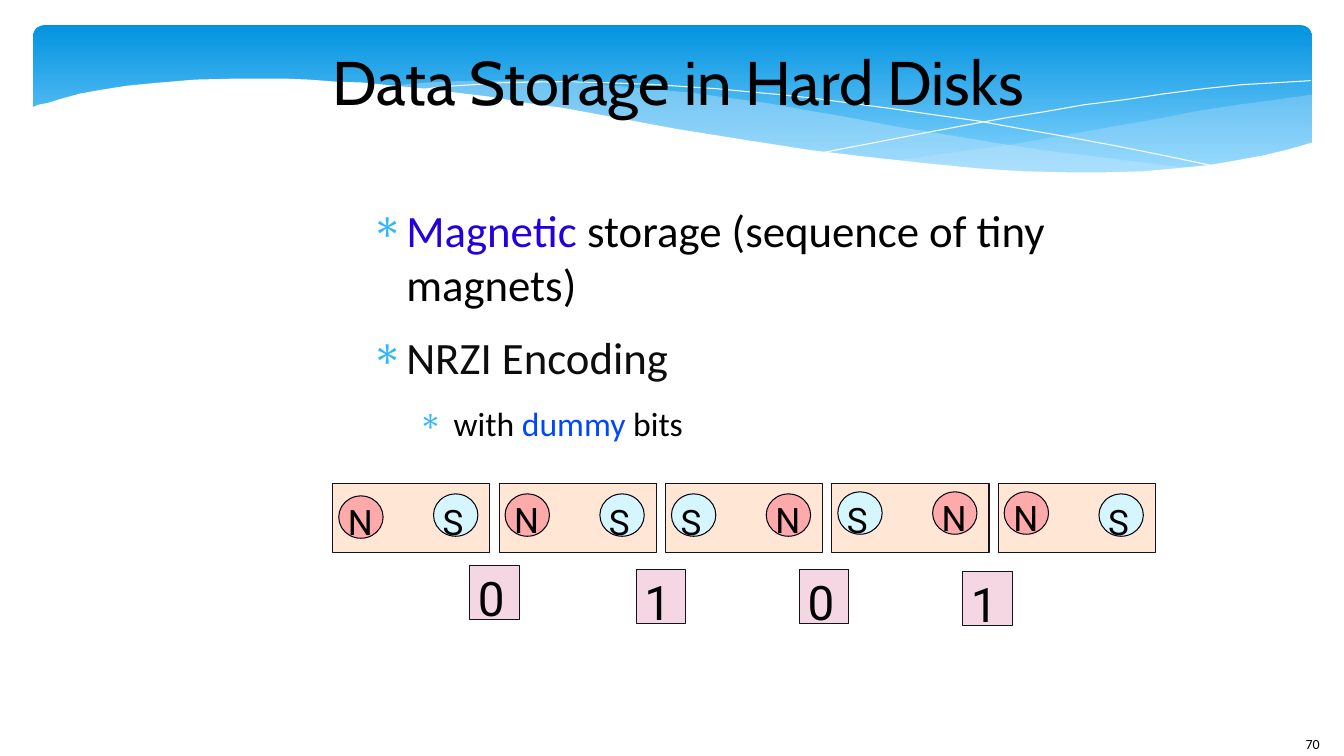
from lxml import etree
from pptx import Presentation
from pptx.dml.color import RGBColor
from pptx.enum.shapes import MSO_SHAPE
from pptx.enum.text import MSO_ANCHOR, MSO_AUTO_SIZE, PP_ALIGN
from pptx.oxml.ns import qn
from pptx.util import Inches, Pt

RECTANGLE, ELLIPSE = MSO_SHAPE.RECTANGLE, MSO_SHAPE.OVAL
ROUNDED = MSO_SHAPE.ROUNDED_RECTANGLE
MIDDLE, CENTER = MSO_ANCHOR.MIDDLE, PP_ALIGN.CENTER
GROW, FIXED = MSO_AUTO_SIZE.SHAPE_TO_FIT_TEXT, MSO_AUTO_SIZE.NONE
BLACK, WHITE, HAZE = "000000", "FFFFFF", "C6E7FC"

RIGHT_HAZE = [
    (13, 0.94), (12.65, 0.99), (12.27, 1.04), (11.88, 1.1), (11.47, 1.18),
    (10.73, 1.31), (10.05, 1.43), (9.41, 1.52), (8.82, 1.6), (9.21, 1.64),
    (9.58, 1.67), (9.93, 1.69), (10.25, 1.71), (10.56, 1.72), (10.99, 1.72),
    (11.38, 1.7), (11.74, 1.67), (12.07, 1.63), (12.38, 1.58), (12.66, 1.52),
    (12.84, 1.47), (13.01, 1.42), (13.01, 0.94)]
LEFT_HAZE = [
    (11.9, 1.67), (11.54, 1.64), (11.16, 1.59), (10.76, 1.54), (10.34, 1.49),
    (9.89, 1.42), (9.41, 1.34), (8.91, 1.26), (8.39, 1.16), (7.98, 1.09),
    (7.59, 1.02), (7.21, 0.97), (6.86, 0.92), (6.52, 0.89), (6.19, 0.86),
    (5.89, 0.83), (5.6, 0.82), (5.32, 0.8), (4.82, 0.8), (4.37, 0.81),
    (3.99, 0.84), (3.82, 0.86), (4.31, 0.9), (4.83, 0.97), (5.39, 1.06),
    (5.99, 1.16), (6.54, 1.26), (7.06, 1.35), (7.55, 1.43), (8.02, 1.5),
    (8.46, 1.56), (8.87, 1.61), (9.26, 1.65), (9.63, 1.68), (9.98, 1.7),
    (10.3, 1.72), (10.61, 1.73), (11.04, 1.73), (11.43, 1.71), (11.67, 1.69)]
FALLING_LINE = [
    (4.12, 0.9), (4.38, 0.86), (4.7, 0.84), (4.99, 0.82), (5.55, 0.81),
    (6, 0.82), (6.52, 0.84), (6.8, 0.86), (7.1, 0.88), (7.42, 0.91),
    (7.75, 0.94), (8.11, 0.98), (8.48, 1.03), (8.86, 1.08), (9.27, 1.14),
    (9.7, 1.2), (10.14, 1.28), (10.6, 1.36), (11.08, 1.45), (11.58, 1.55),
    (12.1, 1.66)]
RISING_LINE = [
    (8.18, 1.51), (8.7, 1.41), (9.27, 1.3), (9.97, 1.17), (10.35, 1.11),
    (10.75, 1.04), (11.15, 0.99), (11.55, 0.93), (11.94, 0.88), (12.32, 0.84),
    (12.67, 0.82), (13, 0.8)]
WHITE_WAVE = [
    (13.03, 1.41), (12.79, 1.48), (12.54, 1.54), (12.27, 1.59), (11.98, 1.64),
    (11.67, 1.67), (11.34, 1.7), (10.97, 1.71), (10.58, 1.71), (10.15, 1.7),
    (9.69, 1.67), (9.18, 1.62), (8.63, 1.56), (8.04, 1.49), (7.4, 1.39),
    (6.71, 1.28), (5.96, 1.14), (5.58, 1.07), (5.21, 1.02), (4.86, 0.96),
    (4.53, 0.92), (4.21, 0.88), (3.9, 0.85), (3.61, 0.82), (3.33, 0.81),
    (3.06, 0.79), (2.82, 0.78), (2.35, 0.78), (1.94, 0.79), (1.58, 0.82),
    (1.27, 0.85), (1.01, 0.89), (0.79, 0.93), (0.61, 0.98), (0.48, 1.02),
    (0.38, 1.04), (0.31, 1.07), (0.31, 2.24), (13.03, 2.24)]

BULLETS = [  # level, size, space after, spans of text and colour
    (0, 32, 14.1, [("Magnetic", "2300DC"),
                   (" storage (sequence of tiny magnets)", BLACK)]),
    (0, 32, 14.1, [("NRZI Encoding", "0D0D0D")]),
    (1, 24, 11.3, [("with ", BLACK), ("dummy", "0047FF"), (" bits", BLACK)]),
]
POLES = {"N": ("FFAAAA", 0.23, 0.05), "S": ("D5F6FF", 0.16, 0.07)}  # fill, letter width, drop
MAGNETS = [  # left and right pole, each with its top
    (("N", 4.92), ("S", 4.9)), (("N", 4.9), ("S", 4.9)),
    (("S", 4.9), ("N", 4.9)), (("S", 4.88), ("N", 4.88)),
    (("N", 4.88), ("S", 4.9))]
BITS = [("0", 4.66, 5.61), ("1", 6.31, 5.65), ("0", 7.93, 5.65), ("1", 9.55, 5.67)]


def rgb(value):
    return RGBColor.from_string(value)


class Slide:
    """Draws styled elements on one page."""

    text_font, title_font, diagram_font = "Calibri", "Cabin", "Roboto"

    def __init__(self, deck):
        self.page = deck.slides.add_slide(deck.slide_layouts[5])
        self.shapes = self.page.shapes

    def paint(self, shape, fill=None, line=None, opacity=100):
        shape.shadow.inherit = False
        if fill:
            shape.fill.solid()
            shape.fill.fore_color.rgb = rgb(fill)
            if opacity < 100:
                color = shape.fill._xPr.find(qn("a:solidFill"))[0]
                etree.SubElement(color, qn("a:alpha")).set("val", str(opacity * 1000))
        else:
            shape.fill.background()
        if line:
            shape.line.color.rgb = rgb(line)
            shape.line.width = Pt(0)
        else:
            shape.line.fill.background()

    def shape(self, kind, place, fill, line=None):
        shape = self.shapes.add_shape(kind, *map(Inches, place))
        self.paint(shape, fill, line)
        return shape

    def outline(self, points, close=True, **style):
        (start, *rest) = [(Inches(x), Inches(y)) for x, y in points]
        builder = self.shapes.build_freeform(*start, scale=1.0)
        builder.add_line_segments(rest, close=close)
        self.paint(builder.convert_to_shape(), **style)

    def style_font(self, font, name, size, color):
        font.name, font.size = name, Pt(size)
        font.color.rgb = rgb(color)

    def frame(self, box, wrap, auto_size, inset=0):
        frame = box.text_frame
        frame.word_wrap, frame.auto_size = wrap, auto_size
        frame.margin_left = frame.margin_right = Inches(inset)
        frame.margin_top = frame.margin_bottom = Inches(inset / 2)
        return frame

    def label(self, text, place, name, size, wrap=False, auto_size=GROW, inset=0):
        box = self.shapes.add_textbox(*map(Inches, place))
        frame = self.frame(box, wrap, auto_size, inset)
        frame.text = text
        self.style_font(frame.paragraphs[0].runs[0].font, name, size, BLACK)

    def title(self, text, place):
        box = self.shapes.title
        box.left, box.top, box.width, box.height = map(Inches, place)
        frame = self.frame(box, True, GROW)
        frame.vertical_anchor = MIDDLE
        frame.text = text
        frame.paragraphs[0].alignment = CENTER
        self.style_font(frame.paragraphs[0].runs[0].font, self.title_font, 44, BLACK)
        self.shapes._spTree.append(box._element)  # bring in front of the banner

    def bullets(self, items, place):
        box = self.shapes.add_textbox(*map(Inches, place))
        frame = self.frame(box, True, FIXED)
        for index, (level, size, after, spans) in enumerate(items):
            para = frame.add_paragraph() if index else frame.paragraphs[0]
            para.level, para.space_after = level, Pt(after)
            properties = para._p.get_or_add_pPr()
            properties.set("marL", str(Inches(0.47 * (level + 1))))
            properties.set("indent", str(Inches(-0.35)))
            color = etree.SubElement(properties, qn("a:buClr"))
            etree.SubElement(color, qn("a:srgbClr")).set("val", "31B6FD")
            etree.SubElement(properties, qn("a:buChar")).set("char", "∗")
            for text, color in spans:
                span = para.add_run()
                span.text = text
                self.style_font(span.font, self.text_font, size, color)

    def banner(self):
        panel = self.shape(ROUNDED, (0.33, 0.25, 12.68, 1.56), WHITE)
        panel.adjustments[0] = 0.07
        panel.fill.gradient()
        panel.fill.gradient_angle = 270
        stops = zip(panel.fill.gradient_stops, (0, 0.9), ("0293E0", "83D3FE"))
        for stop, position, color in stops:
            stop.position, stop.color.rgb = position, rgb(color)
        self.outline(RIGHT_HAZE, fill=HAZE, opacity=29)
        self.outline(LEFT_HAZE, fill=HAZE, opacity=40)
        for points in (FALLING_LINE, RISING_LINE):
            self.outline(points, close=False, line=WHITE)
        self.outline(WHITE_WAVE, fill=WHITE)

    def magnet(self, left, poles):
        self.shape(RECTANGLE, (left, 4.8, 1.56, 0.68), "FFE6D5", "15111D")
        for offset, (letter, top) in zip((0.06, 1), poles):
            fill, width, drop = POLES[letter]
            self.shape(ELLIPSE, (left + offset, top, 0.44, 0.42), fill, "00000F")
            place = (left + offset + 0.09, top + drop, width, 0.42)
            self.label(letter, place, self.diagram_font, 25)

    def bit(self, digit, left, top):
        self.shape(RECTANGLE, (left, top, 0.49, 0.54), "F4D7E3", "15111D")
        self.label(digit, (left + 0.08, top + 0.03, 0.24, 0.57), self.diagram_font, 34)


def main():
    deck = Presentation()
    deck.slide_width, deck.slide_height = Inches(13.33), Inches(7.5)
    slide = Slide(deck)
    slide.banner()
    slide.label("70", (12.85, 7.25, 0.48, 0.25), slide.text_font, 10,
                wrap=True, auto_size=FIXED, inset=0.1)
    slide.title("Data Storage in Hard Disks", (2.67, 0.43, 8.11, 0.74))
    slide.bullets(BULLETS, (3.56, 2.01, 8.11, 2.34))
    for index, poles in enumerate(MAGNETS):
        slide.magnet(3.3 + 1.65 * index, poles)
    for digit, left, top in BITS:
        slide.bit(digit, left, top)
    deck.save("out.pptx")


if __name__ == "__main__":
    main()
